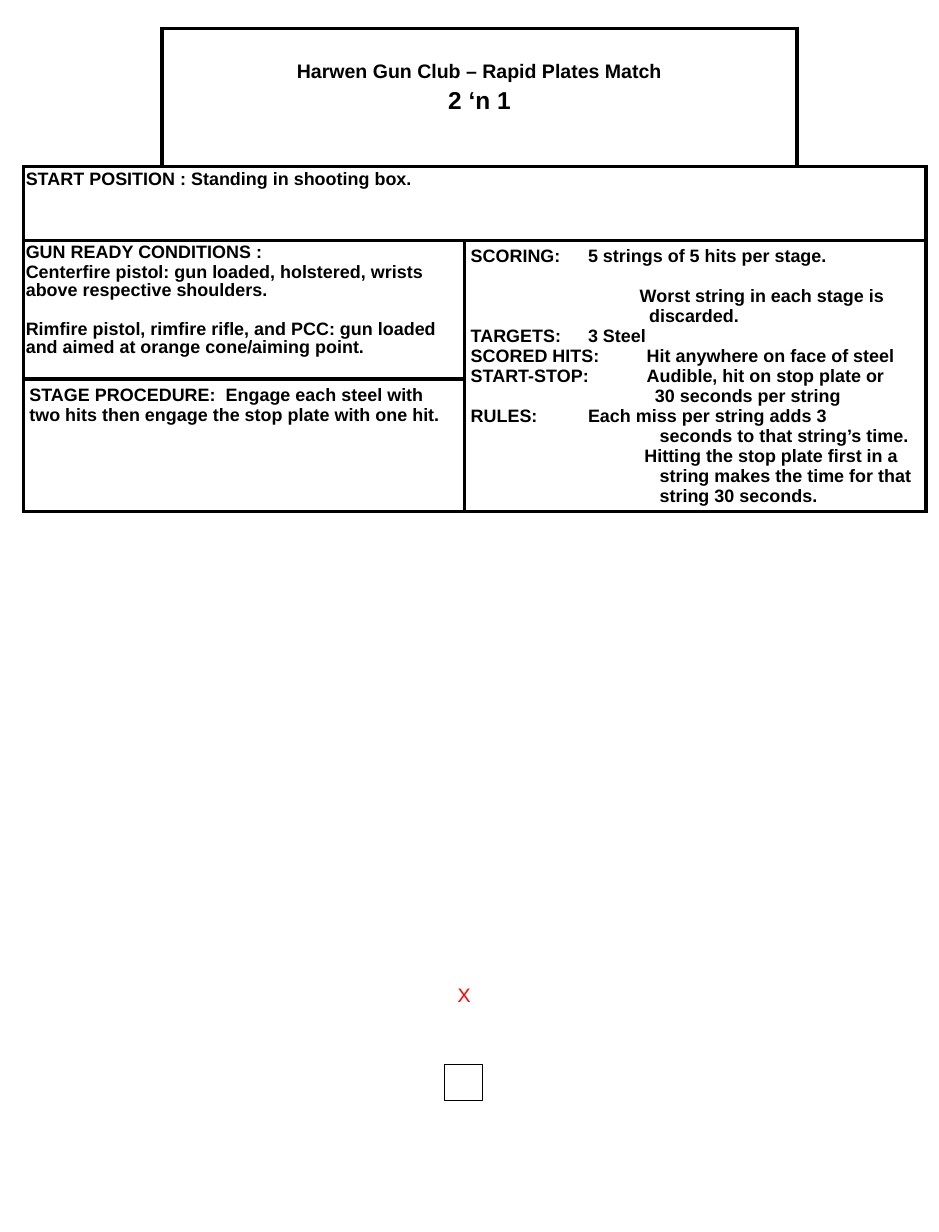
"""Build a one-page stage briefing sheet for a steel shooting match."""
from lxml import etree
from pptx import Presentation
from pptx.dml.color import RGBColor
from pptx.enum.shapes import MSO_SHAPE
from pptx.enum.text import MSO_ANCHOR, PP_ALIGN
from pptx.oxml.ns import qn
from pptx.util import Inches, Pt

RECT = MSO_SHAPE.RECTANGLE
MIDDLE, TOP = MSO_ANCHOR.MIDDLE, MSO_ANCHOR.TOP
CENTER, LEFT = PP_ALIGN.CENTER, PP_ALIGN.LEFT

FONT = "Arial"
COLORS = {"ink": "000000", "paper": "FFFFFF", "mark": "FF0000"}
COL_WIDTHS = [1.18, 2.58, 2.83, 1.1]
ROW_HEIGHTS = [1.18, 0.63, 1.18, 1.13]
BORDER_PT = 2.25

SCORING = [
    ("SCORING:", 1.44, "5 strings of 5 hits per stage."),
    ("", 1.44, "Worst string in each stage is"),
    ("", 1.52, "discarded."),
    ("TARGETS:", 1.44, "3 Steel"),
    ("SCORED HITS:", 1.43, "Hit anywhere on face of steel"),
    ("START-STOP:", 1.42, "Audible, hit on stop plate or"),
    ("", 1.57, "30 seconds per string"),
    ("RULES:", 1.46, "Each miss per string adds 3"),
    ("", 1.61, "seconds to that string’s time."),
    ("", 1.48, "Hitting the stop plate first in a"),
    ("", 1.61, "string makes the time for that"),
    ("", 1.61, "string 30 seconds."),
]


def rgb(name):
    """Return the named colour."""
    return RGBColor.from_string(COLORS[name])


def style_runs(p, size, color="ink", bold=True):
    """Format every run of a paragraph."""
    for r in p.runs:
        r.font.name = FONT
        r.font.size = Pt(size)
        r.font.bold = bold
        r.font.color.rgb = rgb(color)


def write_lines(tf, lines, size=11, align=LEFT, spacing=None):
    """Write (text, space before) pairs as paragraphs and return them."""
    tf.text = "\n".join(text for text, _ in lines)
    for p, (_, before) in zip(tf.paragraphs, lines):
        p.alignment = align
        p.space_before = Pt(before)
        if spacing:
            p.line_spacing = spacing
        style_runs(p, size)
    return tf.paragraphs


def set_borders(cell, sides):
    """Draw the given sides of a cell and clear the others."""
    tc_pr = cell._tc.get_or_add_tcPr()
    for i, side in enumerate("LRTB"):
        ln = etree.Element(qn(f"a:ln{side}"), w=str(Pt(BORDER_PT)))
        if side in sides:
            fill = etree.SubElement(ln, qn("a:solidFill"))
            etree.SubElement(fill, qn("a:srgbClr"), val=COLORS["ink"])
        else:
            etree.SubElement(ln, qn("a:noFill"))
        tc_pr.insert(i, ln)


def add_region(table, row, col, height=1, width=1, sides="LRTB"):
    """Merge, fill and outline a block of cells and return its first cell."""
    first = table.cell(row, col)
    last_row, last_col = row + height - 1, col + width - 1
    if height * width > 1:
        first.merge(table.cell(last_row, last_col))
    for r in range(row, last_row + 1):
        for c in range(col, last_col + 1):
            cell = table.cell(r, c)
            cell.fill.solid()
            cell.fill.fore_color.rgb = rgb("paper")
            outer = {"L": c == col, "R": c == last_col, "T": r == row, "B": r == last_row}
            set_borders(cell, [s for s in sides if outer[s] or (r, c) == (row, col)])
    return first


def set_margins(cell, side, top, bottom=None, anchor=TOP):
    """Set the insets and the anchor of a cell."""
    cell.margin_left = cell.margin_right = Inches(side)
    cell.margin_top = Inches(top)
    cell.margin_bottom = Inches(top if bottom is None else bottom)
    cell.vertical_anchor = anchor


def write_scoring(tf):
    """Write the scoring list with labels left and values on tab stops."""
    lines = [(f"{label}\t{value}" if label else value, 0) for label, _, value in SCORING]
    lines[1] = (lines[1][0], 12.3)
    for p, (label, offset, _) in zip(write_lines(tf, lines), SCORING):
        p_pr = p._p.get_or_add_pPr()
        p_pr.set("indent", "0")
        p_pr.set("marL", "0" if label else str(Inches(offset)))
        if label:
            tabs = etree.SubElement(p_pr, qn("a:tabLst"))
            etree.SubElement(tabs, qn("a:tab"), pos=str(Inches(offset)), algn="l")


def add_briefing(s):
    """Add the briefing table."""
    table = s.shapes.add_table(
        len(ROW_HEIGHTS), len(COL_WIDTHS), Inches(0.2), Inches(0.24),
        Inches(sum(COL_WIDTHS)), Inches(sum(ROW_HEIGHTS))).table
    table.first_row = table.horz_banding = False
    for column, width in zip(table.columns, COL_WIDTHS):
        column.width = Inches(width)
    for row, height in zip(table.rows, ROW_HEIGHTS):
        row.height = Inches(height)

    add_region(table, 0, 0, sides="RB")
    add_region(table, 0, 3, sides="LB")

    title = add_region(table, 0, 1, width=2)
    set_margins(title, 0.05, 0.05, 0.21, MIDDLE)
    heading = write_lines(title.text_frame, [
        ("Harwen Gun Club – Rapid Plates Match", 0), ("2 ‘n 1", 3)], 12, CENTER)
    style_runs(heading[1], 15)

    start = add_region(table, 1, 0, width=4)
    set_margins(start, 0.02, 0.04)
    write_lines(start.text_frame, [("START POSITION : Standing in shooting box.", 0)], spacing=0.9)

    ready = add_region(table, 2, 0, width=2)
    set_margins(ready, 0.02, 0.03)
    write_lines(ready.text_frame, [
        ("GUN READY CONDITIONS :", 0),
        ("Centerfire pistol: gun loaded, holstered, wrists above respective shoulders.", 1.1),
        ("Rimfire pistol, rimfire rifle, and PCC: gun loaded and aimed at "
         "orange cone/aiming point.", 13.4)], spacing=0.9)

    scoring = add_region(table, 2, 2, height=2, width=2)
    set_margins(scoring, 0.05, 0.05, 0)
    write_scoring(scoring.text_frame)

    procedure = add_region(table, 3, 0, width=2)
    set_margins(procedure, 0.05, 0.05)
    write_lines(procedure.text_frame, [
        ("STAGE PROCEDURE:  Engage each steel with two hits then engage "
         "the stop plate with one hit.", 0)])


def add_aiming_point(s):
    """Add the red aiming mark."""
    tf = s.shapes.add_textbox(Inches(3.8), Inches(8.33), Inches(0.31), Inches(0.3)).text_frame
    tf.word_wrap = False
    tf.text = "X"
    style_runs(tf.paragraphs[0], 12, "mark", bold=False)


def add_square(group, left, top, width, height, line_pt=0):
    """Add a white rectangle, outlined when a line width is given."""
    sp = group.shapes.add_shape(RECT, Inches(left), Inches(top), Inches(width), Inches(height))
    sp.shadow.inherit = False
    sp.fill.solid()
    sp.fill.fore_color.rgb = rgb("paper")
    if line_pt:
        sp.line.color.rgb = rgb("ink")
        sp.line.width = Pt(line_pt)
    else:
        sp.line.fill.background()


def add_shooting_box(s):
    """Add the shooting box as a group of two squares."""
    group = s.shapes.add_group_shape()
    add_square(group, 3.79, 9.07, 0.32, 0.31, 0.75)
    add_square(group, 3.83, 9.1, 0.26, 0.26)


def main():
    """Build and save the sheet."""
    prs = Presentation()
    prs.slide_width, prs.slide_height = Inches(8), Inches(10.5)
    s = prs.slides.add_slide(prs.slide_layouts[6])
    add_briefing(s)
    add_aiming_point(s)
    add_shooting_box(s)
    prs.save("out.pptx")


if __name__ == "__main__":
    main()
